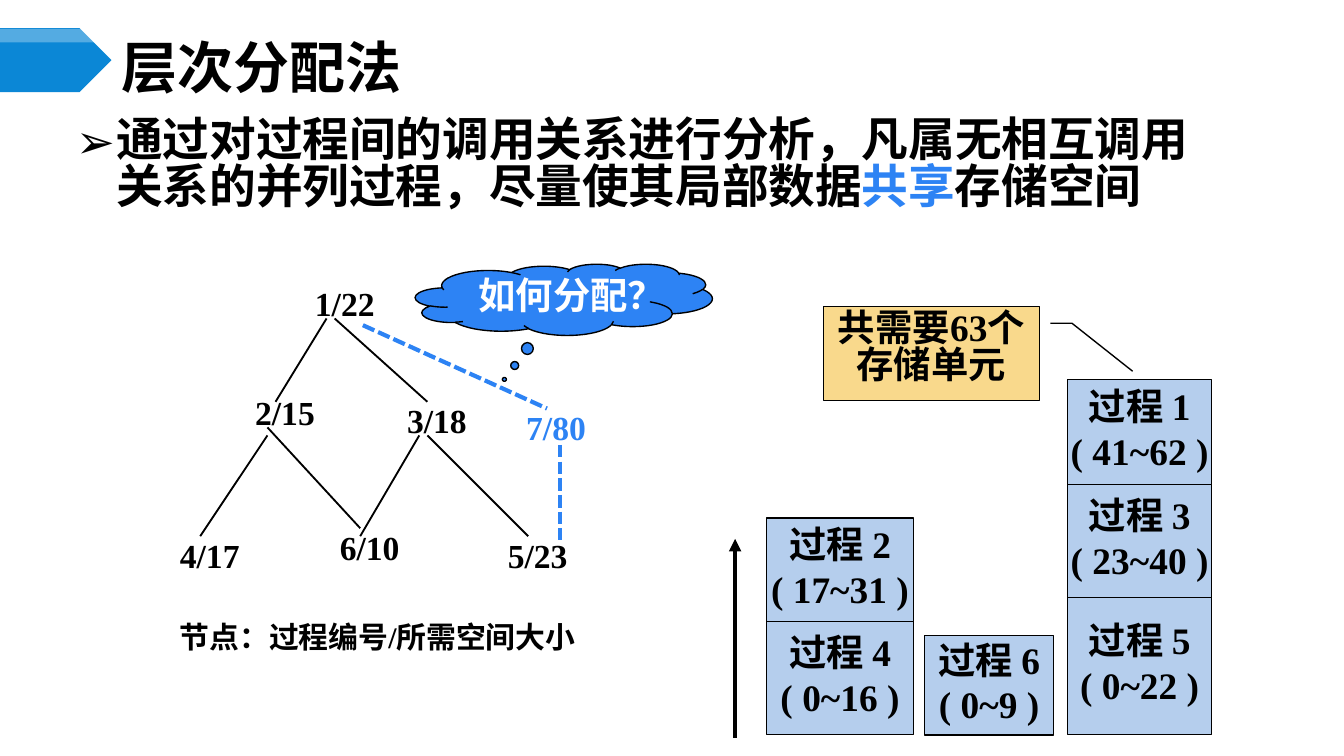
from dataclasses import dataclass

import pptx
import pptx.dml.color
import pptx.enum.dml
import pptx.enum.shapes
import pptx.enum.text
import pptx.oxml
import pptx.oxml.ns
import pptx.util

PX = 4572
SHAPES = pptx.enum.shapes.MSO_SHAPE
ALIGN = pptx.enum.text.PP_ALIGN
ANCHOR = pptx.enum.text.MSO_ANCHOR
INSETS = (15, 8, 15, 8)
NODE_INSETS = (20, 10, 20, 10)


@dataclass(frozen=True)
class Theme:
    black: str = "000000"
    white: str = "FFFFFF"
    banner: str = "0B87D6"
    accent: str = "2D83F4"
    memory: str = "B5CEED"
    note: str = "F9D98C"
    font: str = "Times New Roman"
    chinese_font: str = "Noto Sans CJK SC"
    chinese_spacing: float = 0.83
    title_size: int = 30
    body_size: int = 25
    box_size: int = 20
    node_size: int = 18
    legend_size: int = 16
    outline: float = 0.75
    edge: int = 1
    heavy: float = 2.25


THEME = Theme()

NODES = [
    ("1/22", 449, 411, 150),
    ("2/15", 360, 573, 150),
    ("3/18", 586, 586, 162),
    ("4/17", 248, 786, 138),
    ("6/10", 486, 774, 150),
    ("5/23", 736, 786, 138),
]
EDGES = [
    (486, 474, 410, 598),
    (498, 474, 636, 598),
    (398, 648, 298, 798),
    (398, 636, 536, 786),
    (624, 648, 536, 798),
    (636, 648, 786, 798),
]
STACKS = [
    (1141, 218, 1093, [(4, "0~16", 168), (2, "17~31", 154)]),
    (1376, 192, 1094, [(6, "0~9", 148)]),
    (1589, 214, 1093, [(5, "0~22", 204), (3, "23~40", 168), (1, "41~62", 156)]),
]


def px(length):
    return pptx.util.Emu(length * PX)


def rgb(color):
    return pptx.dml.color.RGBColor.from_string(color)


def append_xml(parent, tag, **attributes):
    element = pptx.oxml.parse_xml(f"<{tag} {pptx.oxml.ns.nsdecls('a')}/>")
    for name, value in attributes.items():
        element.set(name, str(value))
    parent.append(element)
    return element


def write_text(shape, lines, *, size, color=THEME.black, font=THEME.font, align=ALIGN.LEFT,
               anchor=ANCHOR.TOP, insets=INSETS, wrap=True, spacings=(None,),
               bullet=None, hanging=(0, 0)):
    frame = shape.text_frame
    frame.word_wrap = wrap
    frame.vertical_anchor = anchor
    (frame.margin_left, frame.margin_top,
     frame.margin_right, frame.margin_bottom) = map(px, insets)
    for index, line in enumerate(lines):
        paragraph = frame.paragraphs[0] if index == 0 else frame.add_paragraph()
        paragraph.alignment = align
        if index < len(spacings) and spacings[index]:
            paragraph.line_spacing = spacings[index]
        if bullet:
            properties = paragraph._p.get_or_add_pPr()
            properties.set("marL", str(px(hanging[0])))
            properties.set("indent", str(px(hanging[1])))
            append_xml(properties, "a:buFont", typeface=THEME.chinese_font)
            append_xml(properties, "a:buChar", char=bullet)
        for text, run_color in [(line, color)] if isinstance(line, str) else line:
            run = paragraph.add_run()
            run.text = text
            run.font.size = pptx.util.Pt(size)
            run.font.bold = True
            run.font.name = font
            run.font.color.rgb = rgb(run_color)
            append_xml(run._r.get_or_add_rPr(), "a:ea", typeface=THEME.chinese_font)


def add_text(slide, box, lines, **text_format):
    shape = slide.shapes.add_textbox(*map(px, box))
    write_text(shape, lines, **text_format)
    return shape


def add_shape(slide, kind, box, fill, outlined=True, adjustments=()):
    shape = slide.shapes.add_shape(kind, *map(px, box))
    shape.shadow.inherit = False
    shape.fill.solid()
    shape.fill.fore_color.rgb = rgb(fill)
    if outlined:
        shape.line.color.rgb = rgb(THEME.black)
        shape.line.width = pptx.util.Pt(THEME.outline)
    else:
        shape.line.fill.background()
    for index, value in enumerate(adjustments):
        shape.adjustments[index] = value
    return shape


def add_line(slide, ends, color=THEME.black, width=THEME.edge, dashed=False, arrow=False):
    connector = slide.shapes.add_connector(
        pptx.enum.shapes.MSO_CONNECTOR.STRAIGHT, *map(px, ends))
    connector.line.color.rgb = rgb(color)
    connector.line.width = pptx.util.Pt(width)
    if dashed:
        connector.line.dash_style = pptx.enum.dml.MSO_LINE.SQUARE_DOT
    if arrow:
        append_xml(connector.line._get_or_add_ln(), "a:tailEnd", type="triangle")
    append_xml(connector._element.spPr, "a:effectLst")


def add_heading(slide):
    add_shape(slide, SHAPES.PENTAGON, (0, 42, 166, 95), THEME.banner, outlined=False)
    sheen = add_shape(slide, SHAPES.PENTAGON, (0, 43, 166, 20), THEME.white, outlined=False)
    sheen_color = sheen._element.spPr.find(".//" + pptx.oxml.ns.qn("a:srgbClr"))
    append_xml(sheen_color, "a:alpha", val=30000)
    add_text(slide, (166, 59, 1734, 78), ["层次分配法"], size=THEME.title_size,
             font=THEME.chinese_font, anchor=ANCHOR.MIDDLE)
    statement = [
        ("通过对过程间的调用关系进行分析，凡属无相互调用关系的并列过程，尽量使其局部数据", THEME.black),
        ("共享", THEME.accent),
        ("存储空间", THEME.black),
    ]
    add_text(slide, (32, 170, 1810, 706), [statement], size=THEME.body_size,
             spacings=(THEME.chinese_spacing,), bullet="➢", hanging=(126, -60))


def add_memory(slide):
    for left, width, bottom, procedures in STACKS:
        for number, cells, height in procedures:
            bottom -= height
            box = add_shape(slide, SHAPES.RECTANGLE, (left, bottom, width, height), THEME.memory)
            write_text(box, [f"过程 {number}", f"( {cells} )"], size=THEME.box_size,
                       align=ALIGN.CENTER, anchor=ANCHOR.MIDDLE, wrap=False,
                       spacings=(THEME.chinese_spacing,))
    total = add_shape(slide, SHAPES.LINE_CALLOUT_2, (1225, 456, 322, 140), THEME.note,
                      adjustments=(0.18, 1.05, 0.18, 1.15, 0.69, 1.43))
    write_text(total, ["共需要63个存储单元"], size=THEME.box_size, align=ALIGN.CENTER,
               spacings=(THEME.chinese_spacing,))
    add_line(slide, (1094, 1098, 1094, 802), width=THEME.heavy, arrow=True)


def add_call_tree(slide):
    for ends in [(540, 484, 814, 608), (834, 662, 834, 804)]:
        add_line(slide, ends, THEME.accent, THEME.heavy, dashed=True)
    add_text(slide, (768, 598, 124, 76), ["7/80"], size=THEME.node_size, color=THEME.accent)
    question = add_shape(slide, SHAPES.CLOUD_CALLOUT, (618, 393, 442, 106), THEME.accent,
                         adjustments=(-0.2, 1.12))
    write_text(question, ["如何分配？"], size=THEME.box_size, color=THEME.white,
               align=ALIGN.CENTER, spacings=(THEME.chinese_spacing,))
    for label, left, top, width in NODES:
        add_text(slide, (left, top, width, 80), [label], size=THEME.node_size,
                 insets=NODE_INSETS)
    for ends in EDGES:
        add_line(slide, ends)
    add_text(slide, (232, 922, 660, 70), ["节点：过程编号/所需空间大小"],
             size=THEME.legend_size, align=ALIGN.CENTER, spacings=(THEME.chinese_spacing,))


def main():
    presentation = pptx.Presentation()
    presentation.slide_width = px(2000)
    presentation.slide_height = px(1125)
    slide = presentation.slides.add_slide(presentation.slide_layouts[6])
    add_heading(slide)
    add_memory(slide)
    add_call_tree(slide)
    presentation.save("out.pptx")


if __name__ == "__main__":
    main()
